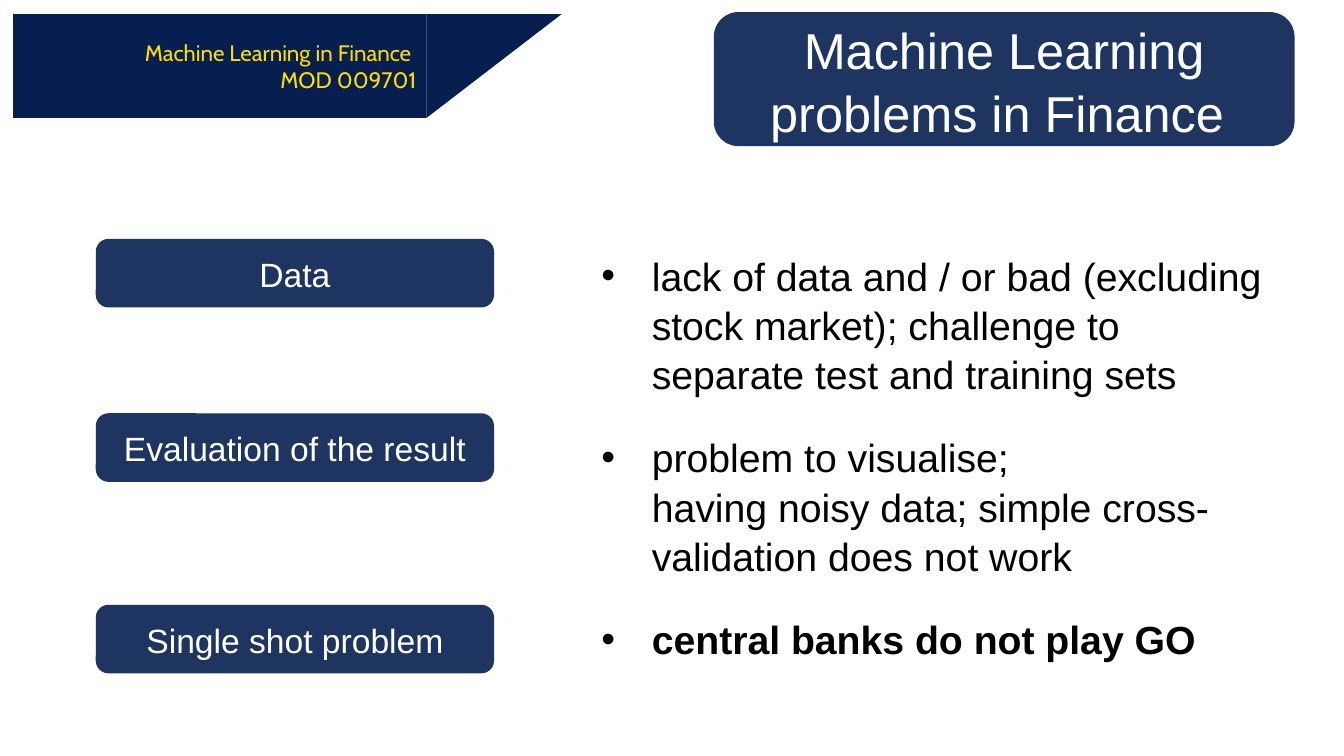
from dataclasses import dataclass

import pptx
import pptx.dml.color
import pptx.enum.shapes
import pptx.enum.text
import pptx.oxml
import pptx.oxml.ns
import pptx.util
from pptx.util import Inches

COLORS = {"navy": "061F50", "white": "FFFFFF", "black": "000000", "yellow": "FFDD00"}
SHAPES = pptx.enum.shapes.MSO_SHAPE
ALIGN = pptx.enum.text.PP_ALIGN


@dataclass
class Panel:
    left: float
    top: float
    width: float
    height: float
    paragraphs: tuple[str, ...] = ()
    size: int = 24
    font: str = "Arial"
    color: str = "white"
    fill: str = "navy"
    opacity: int = 90
    align: ALIGN = ALIGN.CENTER
    line_spacing: float = 1.05
    geometry: SHAPES = SHAPES.ROUNDED_RECTANGLE
    adjustment: float | None = 0.184
    rotation: int = 0


TOPICS = (("Data", 2.37), ("Evaluation of the result", 4.1), ("Single shot problem", 6))
EXPLANATIONS = (
    "lack of data and / or bad (excluding stock market); "
    "challenge to separate test and training sets",
    "problem to visualise;\vhaving noisy data; simple cross-validation does not work",
    "central banks do not play GO",
)


def rgb(name: str) -> pptx.dml.color.RGBColor:
    return pptx.dml.color.RGBColor.from_string(COLORS[name])


def add_panel(slide: pptx.slide.Slide, panel: Panel) -> pptx.shapes.autoshape.Shape:
    shape = slide.shapes.add_shape(
        panel.geometry, Inches(panel.left), Inches(panel.top),
        Inches(panel.width), Inches(panel.height))
    shape.shadow.inherit = False
    shape.rotation = panel.rotation
    if panel.adjustment is not None:
        shape.adjustments[0] = panel.adjustment
    shape.fill.solid()
    shape.fill.fore_color.rgb = rgb(panel.fill)
    shape.line.fill.background()
    if panel.opacity < 100:
        fill_color = shape.fill._xPr.find(".//" + pptx.oxml.ns.qn("a:srgbClr"))
        alpha = pptx.oxml.parse_xml(
            f'<a:alpha {pptx.oxml.ns.nsdecls("a")} val="{panel.opacity * 1000}"/>')
        fill_color.append(alpha)

    frame = shape.text_frame
    frame.word_wrap = True
    frame.vertical_anchor = pptx.enum.text.MSO_ANCHOR.MIDDLE
    frame.text = "\n".join(panel.paragraphs)
    for paragraph in frame.paragraphs:
        paragraph.alignment = panel.align
        paragraph.line_spacing = panel.line_spacing
        for run in paragraph.runs:
            run.font.size = pptx.util.Pt(panel.size)
            run.font.name = panel.font
            run.font.color.rgb = rgb(panel.color)
    return shape


def add_bullet(paragraph: pptx.text.text._Paragraph) -> None:
    properties = paragraph._p.get_or_add_pPr()
    properties.set("marL", str(Inches(0.5)))
    properties.set("indent", str(-Inches(0.5)))
    paragraph.space_after = pptx.util.Pt(24)
    for element in ('buFont {} typeface="Arial"', 'buChar {} char="•"'):
        properties.append(pptx.oxml.parse_xml(
            f'<a:{element.format(pptx.oxml.ns.nsdecls("a"))}/>'))


def add_explanations(slide: pptx.slide.Slide) -> None:
    explanations = add_panel(slide, Panel(
        5.72, 1.81, 7.11, 5.43, EXPLANATIONS, size=28, color="black",
        fill="white", opacity=100, align=ALIGN.LEFT, adjustment=0.092))
    paragraphs = explanations.text_frame.paragraphs
    for paragraph in paragraphs:
        add_bullet(paragraph)
    paragraphs[-1].runs[0].font.bold = True


def add_course_banner(slide: pptx.slide.Slide) -> None:
    add_panel(slide, Panel(
        4.23, 0.14, 1.34, 1.03, opacity=100, rotation=180,
        geometry=SHAPES.ISOSCELES_TRIANGLE, adjustment=1))
    add_panel(slide, Panel(
        0.13, 0.14, 4.1, 1.03, ("Machine Learning in Finance ", "MOD 009701"),
        size=16, font="Cabin", color="yellow", opacity=100, align=ALIGN.RIGHT,
        line_spacing=1.0, geometry=SHAPES.RECTANGLE, adjustment=None))


def main() -> None:
    presentation = pptx.Presentation()
    presentation.slide_width = Inches(13.33)
    presentation.slide_height = Inches(7.5)
    slide = presentation.slides.add_slide(presentation.slide_layouts[6])

    add_explanations(slide)
    for topic, top in TOPICS:
        add_panel(slide, Panel(0.95, top, 3.95, 0.68, (topic,)))
    add_panel(slide, Panel(
        7.08, 0.12, 5.76, 1.33, ("Machine Learning problems in Finance ",), size=36))
    add_course_banner(slide)
    presentation.save("out.pptx")


if __name__ == "__main__":
    main()
